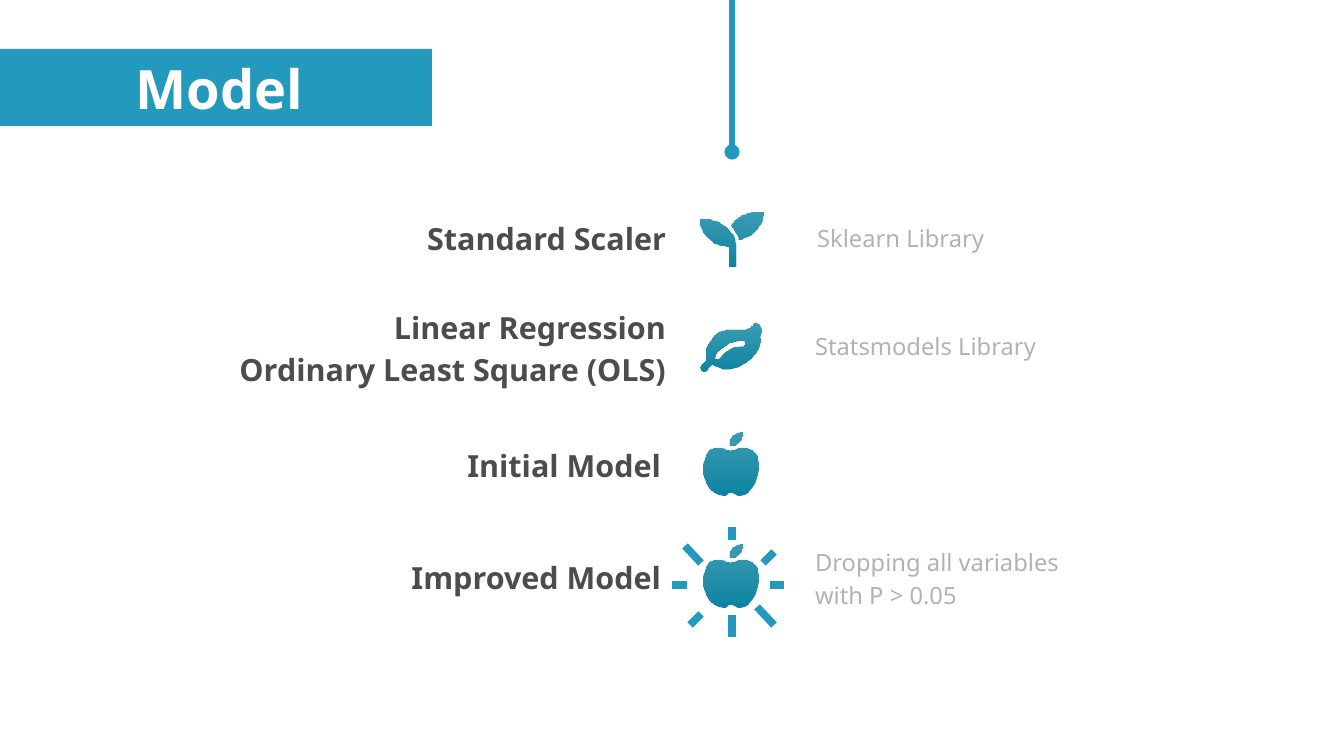
from lxml import etree
from pptx import Presentation
from pptx import util as u
from pptx.dml.color import RGBColor
from pptx.enum import shapes, text
from pptx.oxml.ns import qn

PX = 7495
BLUE, TEAL, GREY = "2499BE", "0D84A1", "4C4C4C"
LEFT, CENTER, RIGHT = text.PP_ALIGN.LEFT, text.PP_ALIGN.CENTER, text.PP_ALIGN.RIGHT

SPROUT = [
    [(7, 7), (15, 7, 21, 10, 27, 16), (32, 21, 35, 27, 35, 34), (35, 54), (28, 54),
     (28, 34), (20, 34, 13, 31, 8, 26), (2, 21, 0, 15, 0, 7)],
    [(54, 0), (62, 0), (62, 7, 59, 13, 54, 18), (50, 23, 44, 26, 37, 27),
     (36, 22, 33, 17, 30, 13), (33, 8, 36, 5, 40, 3), (45, 1, 49, 0, 54, 0)],
]
LEAF = [
    [(58, 13), (59, 16, 59, 18, 58, 20), (56, 28, 50, 35, 40, 40),
     (31, 45, 20, 45, 13, 41), (10, 39, 9, 42, 7, 45), (5, 49, 1, 47, 0, 43),
     (0, 40, 4, 38, 6, 35), (7, 33, 5, 31, 6, 28), (6, 18, 13, 10, 23, 7),
     (29, 4, 40, 7, 46, 5), (51, 3, 51, 0, 54, 0), (58, 0, 62, 7, 58, 13)],
    [(43, 20), (43, 17, 42, 17, 40, 17), (30, 17, 21, 23, 15, 31),
     (13, 34, 17, 36, 19, 33), (26, 25, 33, 22, 41, 22), (42, 22, 43, 21, 43, 20)],
]
APPLE = [
    [(43, 15), (50, 17, 54, 22, 55, 30), (55, 43, 49, 62, 35, 62),
     (31, 61, 30, 59, 27, 59), (24, 59, 23, 62, 20, 62), (7, 62, 0, 47, 0, 35),
     (0, 24, 4, 17, 11, 15), (17, 14, 22, 16, 27, 18), (32, 16, 37, 14, 43, 15)],
    [(35, 10), (33, 13, 30, 14, 26, 13), (25, 4, 31, 0, 39, 0), (39, 4, 38, 7, 35, 10)],
]


def px(value):
    return u.Emu(value * PX)


def color(code):
    return RGBColor.from_string(code)


def fade(element, percent):
    shade = next(element.iter(qn("a:srgbClr")))
    etree.SubElement(shade, qn("a:alpha"), val=str(percent * 1000))


def flatten(outline, steps=8):
    points = [outline[0]]
    for segment in outline[1:]:
        if len(segment) == 2:
            points.append(segment)
            continue
        start, a, b, end = points[-1], segment[:2], segment[2:4], segment[4:]
        for step in range(1, steps + 1):
            t = step / steps
            s = 1 - t
            points.append(tuple(
                s**3 * start[i] + 3 * s * s * t * a[i] + 3 * s * t * t * b[i] + t**3 * end[i]
                for i in (0, 1)))
    return points


def write(frame, lines, size=18, fill=GREY, bold=False, align=LEFT, spacing=1.15,
          alpha=None, inset=True, anchor=text.MSO_ANCHOR.TOP):
    frame.word_wrap = True
    frame.auto_size = text.MSO_AUTO_SIZE.NONE
    frame.vertical_anchor = anchor
    if not inset:
        frame.margin_left = frame.margin_right = frame.margin_top = frame.margin_bottom = 0
    for index, line in enumerate(lines):
        para = frame.add_paragraph() if index else frame.paragraphs[0]
        para.alignment = align
        para.line_spacing = spacing
        span = para.add_run()
        span.text = line
        span.font.name = "Noto Sans"
        span.font.size = u.Pt(size)
        span.font.bold = bold
        span.font.color.rgb = color(fill)
        if alpha:
            fade(para._p, alpha)


class Board:
    def __init__(self, deck):
        self.page = deck.slides.add_slide(deck.slide_layouts[5])
        self.shapes = self.page.shapes

    def title(self, words, left, top, width, height):
        box = self.shapes.title
        box.left, box.top, box.width, box.height = map(px, (left, top, width, height))
        write(box.text_frame, [words], size=32, fill="FFFFFF", bold=True, align=CENTER,
              spacing=1.0, inset=False, anchor=text.MSO_ANCHOR.MIDDLE)

    def banner(self, left, top, width, height):
        bar = self.shapes.add_shape(shapes.MSO_SHAPE.RECTANGLE,
                                    *map(px, (left, top, width, height)))
        bar.shadow.inherit = False
        bar.fill.solid()
        bar.fill.fore_color.rgb = color(BLUE)
        bar.line.fill.background()
        self.shapes.title._element.addprevious(bar._element)

    def label(self, lines, left, top, width, height, **style):
        box = self.shapes.add_textbox(*map(px, (left, top, width, height)))
        write(box.text_frame, lines, **style)

    def line(self, x1, y1, x2, y2, width=4.5, dot=False):
        stroke = self.shapes.add_connector(shapes.MSO_CONNECTOR.STRAIGHT,
                                           *map(px, (x1, y1, x2, y2)))
        stroke.line.color.rgb = color(BLUE)
        stroke.line.width = u.Pt(width)
        if dot:
            etree.SubElement(stroke.line._get_or_add_ln(), qn("a:headEnd"), type="oval")
        etree.SubElement(stroke._element.spPr, qn("a:effectLst"))

    def icon(self, outlines, left, top):
        builder = None
        for outline in outlines:
            points = flatten(outline)
            if builder is None:
                builder = self.shapes.build_freeform(*points[0], scale=PX)
            else:
                builder.move_to(*points[0])
            builder.add_line_segments(points[1:], close=True)
        drawing = builder.convert_to_shape(px(left), px(top))
        drawing.shadow.inherit = False
        drawing.line.fill.background()
        drawing.fill.gradient()
        drawing.fill.gradient_angle = 270
        for stop in drawing.fill.gradient_stops:
            stop.color.rgb = color(TEAL)
        fade(drawing._element.spPr, 80)


def main():
    deck = Presentation()
    deck.slide_width, deck.slide_height = px(1344), px(756)
    board = Board(deck)
    board.banner(0, 49, 432, 77)
    board.title("Model", 15, 51, 409, 74)
    board.line(732, 152, 732, 0, width=3, dot=True)

    steps = [
        (["Standard Scaler"], 678, 209),
        (["Linear Regression", "Ordinary Least Square (OLS)"], 678, 298),
        (["Initial Model"], 673, 436),
        (["Improved Model"], 673, 548),
    ]
    for lines, right, top in steps:
        board.label(lines, 0, top, right, 107, bold=True, align=RIGHT)

    details = [
        ("Sklearn Library", 805, 214, 49),
        ("Statsmodels Library", 803, 322, 49),
        ("Dropping all variables with P > 0.05", 803, 538, 87),
    ]
    for words, left, top, height in details:
        board.label([words], left, top, 296, height, size=14, fill="000000", alpha=30)

    icons = [(SPROUT, 701, 213), (LEAF, 701, 324), (APPLE, 703, 433), (APPLE, 703, 545)]
    for outlines, left, top in icons:
        board.icon(outlines, left, top)

    rays = [
        (763, 563, 774, 552), (690, 625, 701, 614), (757, 607, 774, 625),
        (685, 546, 701, 563), (732, 615, 732, 637), (732, 527, 732, 540),
        (672, 585, 687, 585), (770, 585, 784, 585),
    ]
    for ray in rays:
        board.line(*ray)
    deck.save("out.pptx")


if __name__ == "__main__":
    main()
